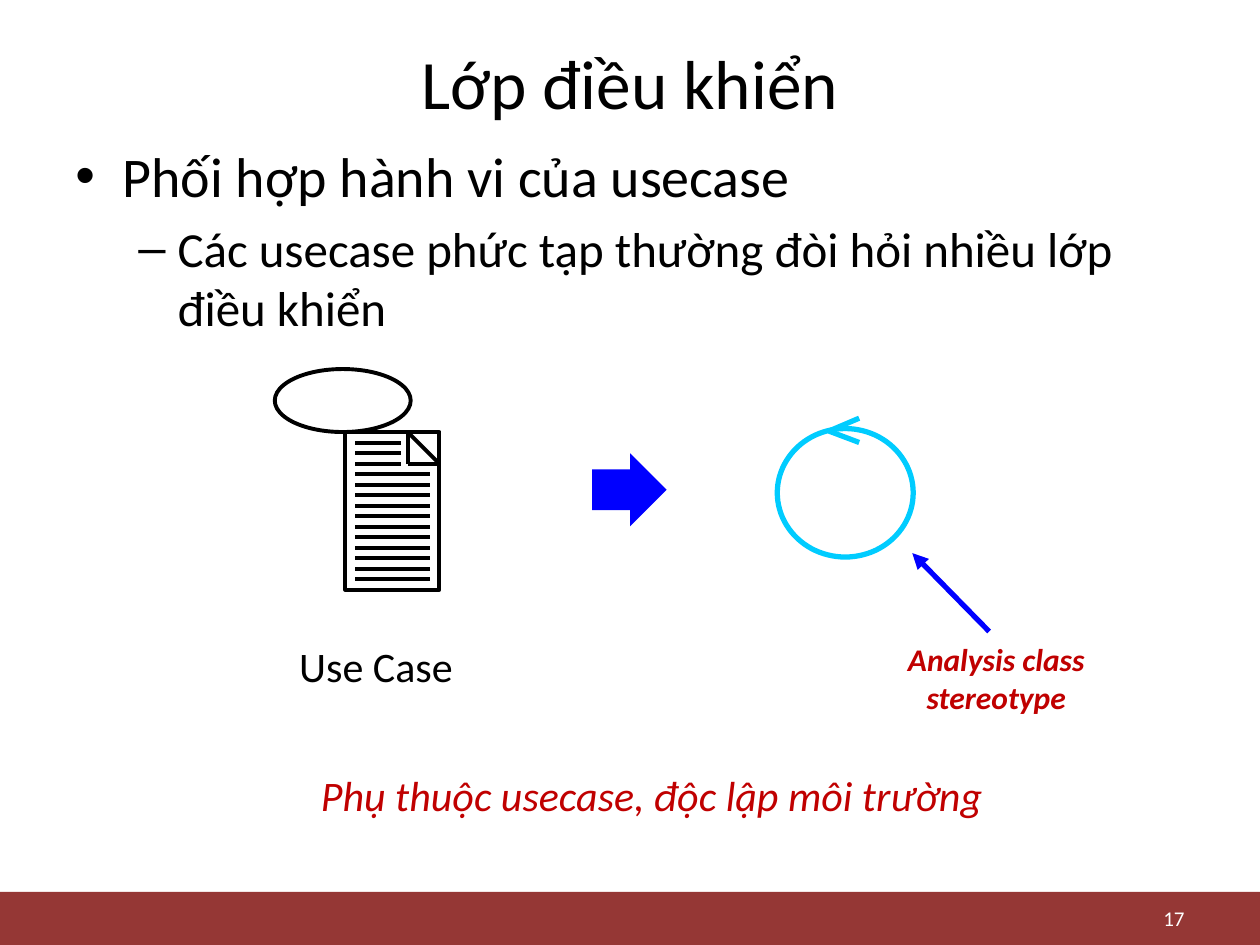
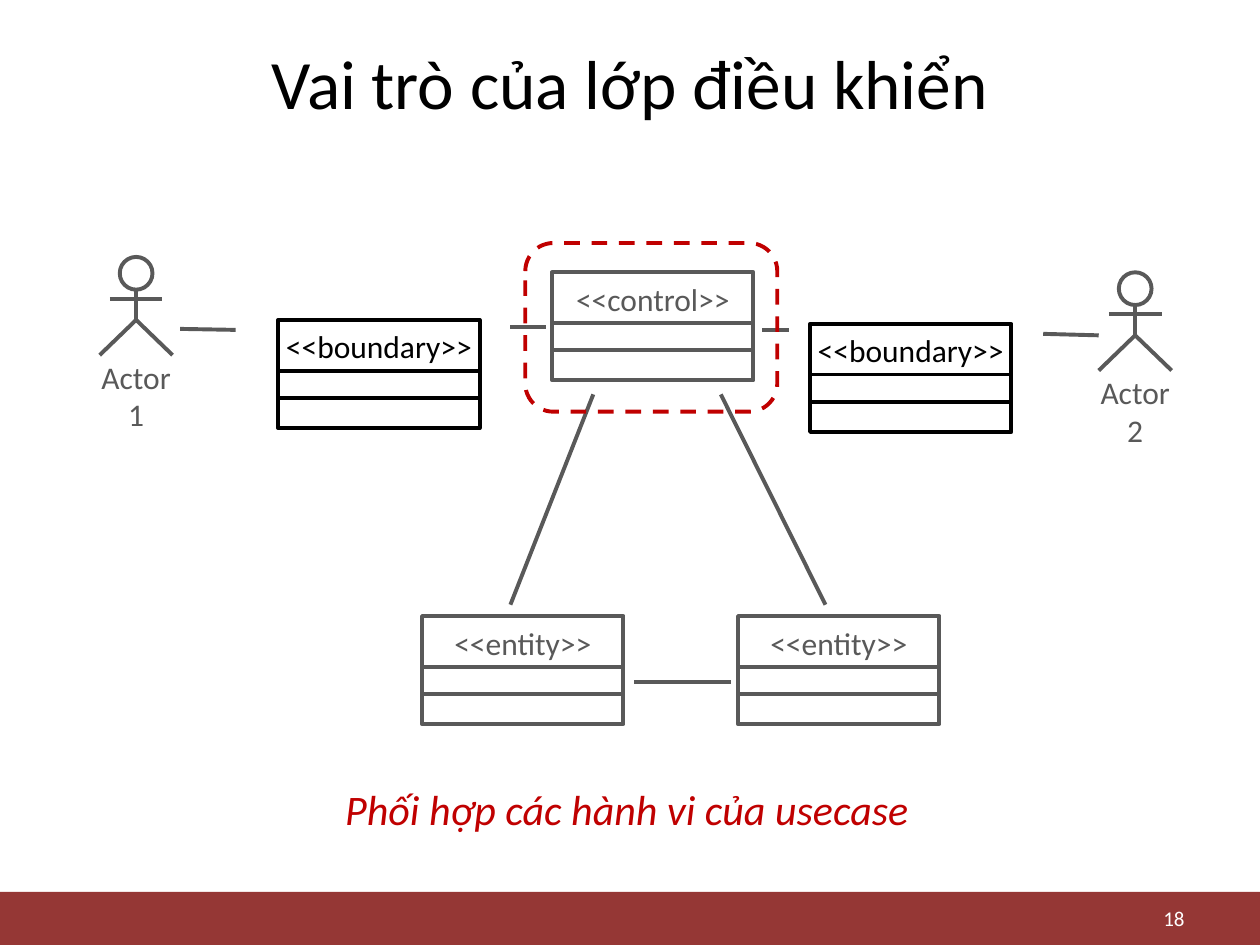
from itertools import combinations

from pptx import Presentation
from pptx.dml.color import RGBColor
from pptx.enum.dml import MSO_LINE
from pptx.enum.shapes import MSO_CONNECTOR, MSO_SHAPE
from pptx.enum.text import MSO_ANCHOR as Anchor, PP_ALIGN as Align
from pptx.oxml.ns import qn
from pptx.util import Cm, Pt
from lxml.etree import SubElement

COLOURS = {
    "ink": "000000",
    "grey": "595959",
    "band": "953735",
    "paper": "FFFFFF",
    "accent": "C00000",
    "arrow": "0000FF",
    "control": "00CCFF",
}
FONT = "Calibri"
WIDTH, HEIGHT = 25.4, 19.05
MARGIN = 1.27
LABEL_HEIGHT = 0.76


def rgb(name):
    """Return the named colour."""
    return RGBColor.from_string(COLOURS[name])


def style_line(part, colour, weight, dash=None):
    """Set the outline of a shape or connector."""
    part.line.color.rgb = rgb(colour)
    part.line.width = Pt(weight)
    if dash:
        part.line.dash_style = dash


def outline(part, colour, weight=2.25, dash=None):
    """Leave a shape unfilled and give it an outline."""
    part.shadow.inherit = False
    part.fill.background()
    style_line(part, colour, weight, dash)


def add_outlined(shapes, kind, box, colour, weight=2.25, dash=None):
    """Add an unfilled preset shape."""
    part = shapes.add_shape(kind, *map(Cm, box))
    outline(part, colour, weight, dash)
    return part


def add_solid(shapes, kind, box, colour):
    """Add a filled preset shape without an outline."""
    part = shapes.add_shape(kind, *map(Cm, box))
    part.shadow.inherit = False
    part.fill.solid()
    part.fill.fore_color.rgb = rgb(colour)
    part.line.fill.background()
    return part


def add_stroke(shapes, start, end, colour, weight=2.25, arrow=False):
    """Add a straight line, with an arrowhead at its end if asked."""
    stroke = shapes.add_connector(MSO_CONNECTOR.STRAIGHT, *map(Cm, (*start, *end)))
    style_line(stroke, colour, weight)
    properties = stroke._element.spPr
    if arrow:
        SubElement(properties.find(qn("a:ln")), qn("a:tailEnd"), type="triangle")
    SubElement(properties, qn("a:effectLst"))


def add_run(paragraph, words, size, colour="ink", bold=False, italic=False):
    """Add one styled run."""
    run = paragraph.add_run()
    run.text = words
    font = run.font
    font.name, font.size = FONT, Pt(size)
    font.bold, font.italic = bold, italic
    font.color.rgb = rgb(colour)


def add_frame(shapes, box, insets=(0.25, 0.13), wrap=True, anchor=Anchor.TOP):
    """Add an empty text box and return its text frame."""
    frame = shapes.add_textbox(*map(Cm, box)).text_frame
    frame.word_wrap, frame.vertical_anchor = wrap, anchor
    frame.margin_left = frame.margin_right = Cm(insets[0])
    frame.margin_top = frame.margin_bottom = Cm(insets[1])
    return frame


def add_text(shapes, box, words, size, colour="ink", align=Align.CENTER,
             bold=False, italic=False, **layout):
    """Add a text box with a single paragraph."""
    paragraph = add_frame(shapes, box, **layout).paragraphs[0]
    paragraph.alignment = align
    add_run(paragraph, words, size, colour, bold, italic)


def add_label(shapes, box, words, colour):
    """Add a tight diagram label centred on its box."""
    add_text(shapes, box, words, 18, colour, insets=(0, 0), wrap=False)


def add_base(deck, title, number):
    """Add a slide with its title, band and page number."""
    shapes = deck.slides.add_slide(deck.slide_layouts[6]).shapes
    add_solid(shapes, MSO_SHAPE.RECTANGLE, (0, 17.98, WIDTH, HEIGHT - 17.98), "band")
    add_text(shapes, (MARGIN, 0.76, WIDTH - 2 * MARGIN, 1.78), title, 39.6,
             anchor=Anchor.MIDDLE)
    add_text(shapes, (18.21, 18.16, 5.92, 0.69), str(number), 12, "paper",
             Align.RIGHT, anchor=Anchor.MIDDLE)
    return shapes


def add_summary(shapes, box, words):
    """Add the closing remark under a diagram."""
    add_text(shapes, box, words, 24, "accent", italic=True)


def add_bullets(shapes, box, points):
    """Add bulleted points given as (level, words)."""
    levels = [("•", 32, 0.95, 0.95), ("–", 28, 2.06, 0.79)]
    frame = add_frame(shapes, box)
    for index, (level, words) in enumerate(points):
        mark, size, indent, hanging = levels[level]
        paragraph = frame.add_paragraph() if index else frame.paragraphs[0]
        paragraph.level = level
        if index:
            paragraph.space_before = Pt(0.2 * size)
        properties = paragraph._p.get_or_add_pPr()
        properties.set("marL", str(Cm(indent)))
        properties.set("indent", str(-Cm(hanging)))
        SubElement(properties, qn("a:buFont"), typeface="Arial")
        SubElement(properties, qn("a:buChar"), char=mark)
        add_run(paragraph, words, size)


def add_use_case(shapes, left, top):
    """Draw a use case oval with its written page."""
    icon = shapes.add_group_shape().shapes
    add_outlined(icon, MSO_SHAPE.OVAL, (left, top, 2.74, 1.27), "ink")
    page_left, page_top, page_width, page_height = left + 1.42, top + 1.27, 1.9, 3.18
    add_outlined(icon, MSO_SHAPE.RECTANGLE,
                 (page_left, page_top, page_width, page_height), "ink")
    fold = 0.64
    page_right = page_left + page_width
    fold_left, fold_bottom = page_right - fold, page_top + fold
    corners = [(fold_left, page_top), (page_right, fold_bottom), (fold_left, fold_bottom)]
    for start, end in combinations(corners, 2):
        add_stroke(icon, start, end, "ink")
    rows = 15
    for row in range(1, rows):
        y = page_top + row * page_height / rows
        row_right = fold_left - 0.13 if row <= 3 else page_right - 0.2
        add_stroke(icon, (page_left + 0.2, y), (row_right, y), "ink")


def add_control_symbol(shapes, left, top):
    """Draw the circle with an arrow tip that marks a control class."""
    symbol = shapes.add_group_shape().shapes
    add_outlined(symbol, MSO_SHAPE.OVAL, (left, top, 2.74, 2.59), "control", 3)
    tip = (left + 1.04, top + 0.05)
    for rise in (-0.21, 0.28):
        add_stroke(symbol, (left + 1.65, top + rise), tip, "control", 3)


def add_actor(shapes, left, top, name):
    """Draw a stick figure with its name below."""
    width, height, head, hip = 1.47, 1.98, 0.66, 1.27
    centre = left + width / 2
    figure = shapes.add_group_shape().shapes
    add_outlined(figure, MSO_SHAPE.OVAL, (centre - head / 2, top, head, head), "grey")
    add_stroke(figure, (centre, top + head), (centre, top + hip), "grey")
    add_stroke(figure, (centre - 0.53, top + 0.84), (centre + 0.53, top + 0.84), "grey")
    legs = figure.build_freeform(Cm(left), Cm(top + height))
    legs.add_line_segments([(Cm(centre), Cm(top + hip)),
                            (Cm(left + width), Cm(top + height))], close=False)
    outline(legs.convert_to_shape(), "grey")
    add_label(shapes, (left, top + 2.03, width, LABEL_HEIGHT), name, "grey")


def add_class(shapes, left, top, stereotype, colour):
    """Draw a class box with three compartments."""
    width, height = 4.06, 2.18
    group = shapes.add_group_shape().shapes
    add_outlined(group, MSO_SHAPE.RECTANGLE, (left, top, width, height), colour)
    for drop in (1.02, 1.57):
        add_stroke(group, (left, top + drop), (left + width, top + drop), colour)
    add_label(group, (left, top + 0.15, width, LABEL_HEIGHT), f"<<{stereotype}>>", colour)


def build_control_class(deck):
    """Build the slide that introduces the control class."""
    shapes = add_base(deck, "Lớp điều khiển", 17)
    add_bullets(shapes, (MARGIN, 2.72, WIDTH - 2 * MARGIN, 5.54), [
        (0, "Phối hợp hành vi của usecase"),
        (1, "Các usecase phức tạp thường đòi hỏi nhiều lớp điều khiển"),
    ])
    add_use_case(shapes, 5.54, 7.44)
    add_text(shapes, (5.46, 12.78, 4.24, 1.27), "Use Case", 24, wrap=False)
    becomes = add_solid(shapes, MSO_SHAPE.RIGHT_ARROW, (11.94, 9.14, 1.5, 1.47), "arrow")
    becomes.adjustments[0], becomes.adjustments[1] = 0.56, 0.5
    add_control_symbol(shapes, 15.67, 8.64)
    add_stroke(shapes, (19.94, 12.73), (18.39, 11.15), "arrow", 3, arrow=True)
    add_text(shapes, (17.53, 12.75, 5.11, 1.83), "Analysis class stereotype", 18,
             "accent", bold=True, italic=True, insets=(0.3, 0.15))
    add_summary(shapes, (3.61, 15.39, 19.05, 1.27), "Phụ thuộc usecase, độc lập môi trường")


def build_control_role(deck):
    """Build the slide that shows the control class among its neighbours."""
    shapes = add_base(deck, "Vai trò của lớp điều khiển", 18)
    for left, top, name in [(2.01, 5.18, "Actor 1"), (22.15, 5.49, "Actor 2")]:
        add_actor(shapes, left, top, name)
    for left, top, stereotype, colour in [
        (5.61, 6.45, "boundary", "ink"),
        (11.13, 5.49, "control", "grey"),
        (16.33, 6.53, "boundary", "ink"),
        (8.51, 12.42, "entity", "grey"),
        (14.88, 12.42, "entity", "grey"),
    ]:
        add_class(shapes, left, top, stereotype, colour)
    for start, end in [
        ((3.63, 6.63), (4.75, 6.65)),
        ((10.29, 6.6), (11, 6.6)),
        ((15.9, 6.65), (15.37, 6.65)),
        ((21.03, 6.73), (22.15, 6.76)),
        ((10.29, 12.19), (11.96, 7.95)),
        ((14.53, 7.95), (16.64, 12.19)),
        ((14.73, 13.74), (12.78, 13.74)),
    ]:
        add_stroke(shapes, start, end, "grey")
    add_outlined(shapes, MSO_SHAPE.ROUNDED_RECTANGLE, (10.59, 4.9, 5.08, 3.4),
                 "accent", dash=MSO_LINE.DASH)
    add_summary(shapes, (0.99, 15.67, 23.29, 1.27), "Phối hợp các hành vi của usecase")


def main():
    """Build and save the deck."""
    deck = Presentation()
    deck.slide_width, deck.slide_height = Cm(WIDTH), Cm(HEIGHT)
    build_control_class(deck)
    build_control_role(deck)
    deck.save("out.pptx")


if __name__ == "__main__":
    main()
